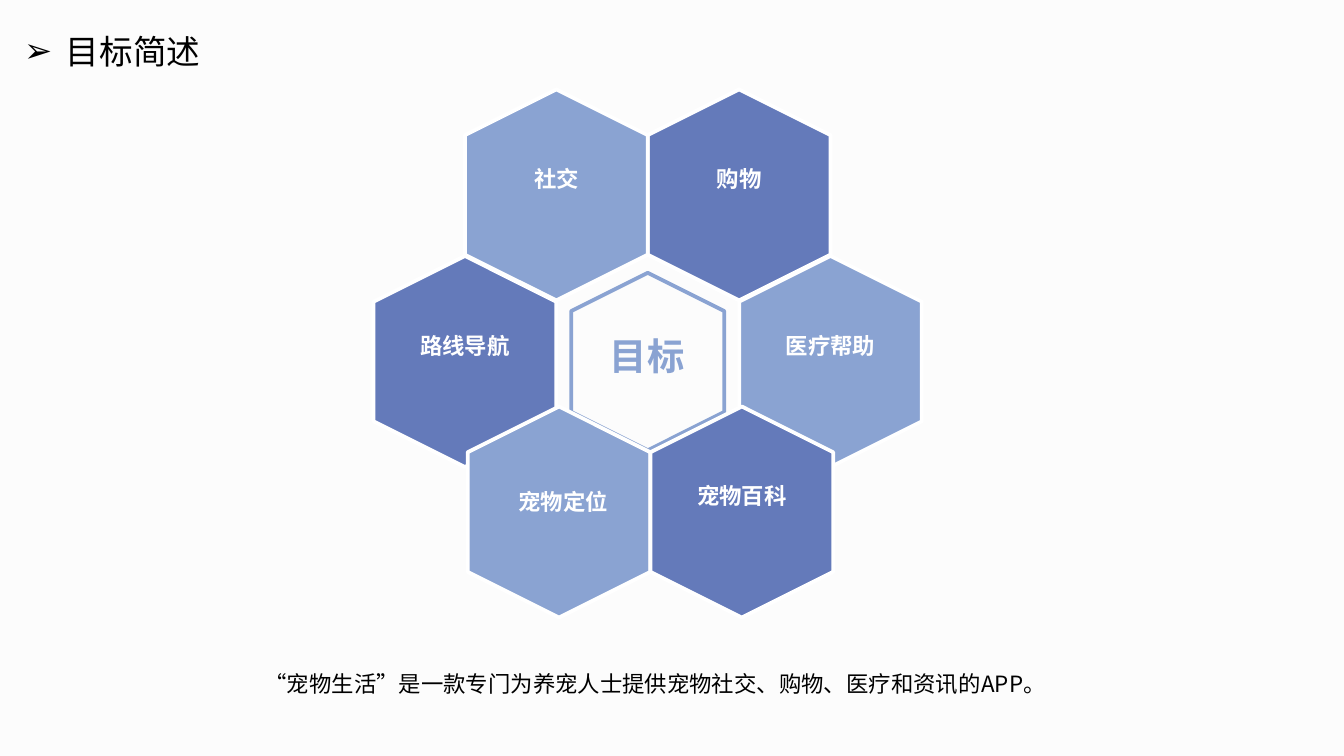
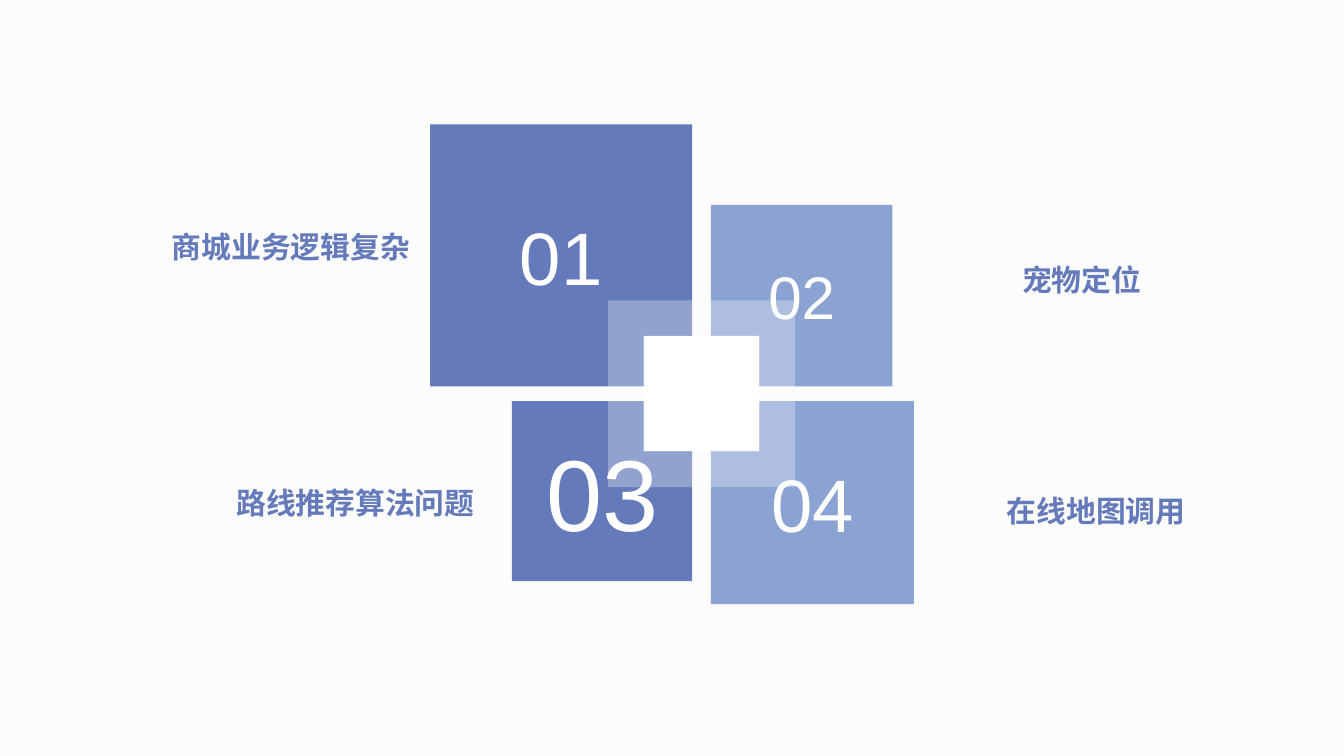
from typing import NamedTuple

from lxml import etree
from pptx import Presentation
from pptx.dml.color import RGBColor
from pptx.enum.shapes import MSO_SHAPE
from pptx.enum.text import MSO_ANCHOR, MSO_AUTO_SIZE, PP_ALIGN
from pptx.oxml.ns import qn
from pptx.util import Emu, Inches, Pt

HEXAGON, SQUARE, FRAME = MSO_SHAPE.HEXAGON, MSO_SHAPE.RECTANGLE, MSO_SHAPE.FRAME
LEFT, CENTER, RIGHT = PP_ALIGN.LEFT, PP_ALIGN.CENTER, PP_ALIGN.RIGHT
TOP, MIDDLE = MSO_ANCHOR.TOP, MSO_ANCHOR.MIDDLE
GROW = MSO_AUTO_SIZE.SHAPE_TO_FIT_TEXT

PAPER = RGBColor(0xFC, 0xFC, 0xFC)
WHITE = RGBColor(0xFF, 0xFF, 0xFF)
BLACK = RGBColor(0x00, 0x00, 0x00)
LIGHT_BLUE = RGBColor(0x8A, 0xA3, 0xD2)
DEEP_BLUE = RGBColor(0x64, 0x7A, 0xBA)

CJK = "Noto Sans CJK SC"
LATIN = "Arial"
TITLE_ONLY, BLANK = 5, 6
SLIDE_WIDTH = Inches(10)
SLIDE_HEIGHT = Emu(SLIDE_WIDTH * 9 // 16)

# Flower of hexagons: columns are half a hexagon wide, counted from the heart.
HEX_LENGTH, HEX_WIDTH = 1.57, 1.36
HEART_X, HEART_Y = 4.82, 2.69
COLUMN = HEX_WIDTH / 2

# Tiles meet at a cross of narrow gaps.
CROSS_X, CROSS_Y = 5.22, 2.93
GAP_X, GAP_Y = 0.14, 0.11


class Area(NamedTuple):
    left: float
    top: float
    width: float
    height: float

    def emu(self) -> list[Emu]:
        return [Inches(length) for length in self]


class Style(NamedTuple):
    size: float
    color: RGBColor
    bold: bool = False
    align: PP_ALIGN = CENTER
    font: str = CJK


class HexRow(NamedTuple):
    middle: float
    shift: float = 0


class Petal(NamedTuple):
    text: str
    column: int
    row: HexRow
    color: RGBColor
    nudge_x: float = 0
    nudge_y: float = 0
    has_plate: bool = False


class Tile(NamedTuple):
    number: str
    side: float
    size: float
    color: RGBColor
    is_right: bool
    is_lower: bool


class Label(NamedTuple):
    text: str
    left: float
    top: float


TITLE_STYLE = Style(18, BLACK, align=LEFT)
PETAL_STYLE = Style(12, WHITE, bold=True)
HEART_STYLE = Style(20, LIGHT_BLUE, bold=True)
SUMMARY_STYLE = Style(12, BLACK, align=LEFT)
LABEL_STYLE = Style(16, DEEP_BLUE, bold=True, align=RIGHT)

UPPER, CENTRAL, LOWER = HexRow(1.45), HexRow(HEART_Y), HexRow(3.81, 0.02)
BACK_PETALS = [
    Petal("医疗帮助", 2, CENTRAL, LIGHT_BLUE),
    Petal("购物", 1, UPPER, DEEP_BLUE),
    Petal("社交", -1, UPPER, LIGHT_BLUE, has_plate=True),
    Petal("路线导航", -2, CENTRAL, DEEP_BLUE),
]
FRONT_PETALS = [
    Petal("宠物定位", -1, LOWER, LIGHT_BLUE, 0.03, 0.04),
    Petal("宠物百科", 1, LOWER, DEEP_BLUE),
]
TILES = [
    Tile("01", 1.95, 39.8, DEEP_BLUE, False, False),
    Tile("04", 1.51, 39.8, LIGHT_BLUE, True, True),
    Tile("02", 1.35, 32.2, LIGHT_BLUE, True, False),
    Tile("03", 1.34, 54, DEEP_BLUE, False, True),
]
LABELS = [
    Label("商城业务逻辑复杂", 0.6, 1.65),
    Label("宠物定位", 6.04, 1.9),
    Label("路线推荐算法问题", 1.08, 3.56),
    Label("在线地图调用", 6.37, 3.62),
]


def centered(x: float, y: float, width: float, height: float) -> Area:
    return Area(x - width / 2, y - height / 2, width, height)


def write(shape, text: str, style: Style, anchor=TOP, wrap: bool = True) -> None:
    frame = shape.text_frame
    frame.text = text
    frame.word_wrap = wrap
    frame.vertical_anchor = anchor
    para = frame.paragraphs[0]
    para.alignment = style.align
    span = para.runs[0]
    span.font.size = Pt(style.size)
    span.font.bold = style.bold
    span.font.color.rgb = style.color
    span.font.name = style.font
    east_asian = etree.SubElement(span._r.get_or_add_rPr(), qn("a:ea"))
    east_asian.set("typeface", style.font)


def add_text(shapes, area: Area, text: str, style: Style, wrap: bool = True) -> None:
    box = shapes.add_textbox(*area.emu())
    write(box, text, style, wrap=wrap)
    box.text_frame.auto_size = GROW


def add_figure(shapes, kind, area: Area, fill=None, line=None):
    figure = shapes.add_shape(kind, *area.emu())
    figure.shadow.inherit = False
    if fill is None:
        figure.fill.background()
    else:
        figure.fill.solid()
        figure.fill.fore_color.rgb = fill
    if line is None:
        figure.line.fill.background()
    else:
        figure.line.color.rgb = line
        figure.line.width = Pt(2)
    return figure


def add_hexagon(shapes, x: float, y: float, length: float, width: float,
                fill, line) -> None:
    """Add a hexagon standing on its tip."""
    hexagon = add_figure(shapes, HEXAGON, centered(x, y, length, width), fill, line)
    hexagon.rotation = 270


def add_petal(page, petal: Petal) -> None:
    shapes = page.shapes.add_group_shape().shapes
    x = HEART_X + petal.column * COLUMN + petal.row.shift
    y = petal.row.middle
    add_hexagon(shapes, x, y, HEX_LENGTH, HEX_WIDTH, petal.color, WHITE)
    caption = centered(x + petal.nudge_x, y - 0.12 + petal.nudge_y, 1.15, 0.3)
    if petal.has_plate:
        plate = add_figure(shapes, SQUARE, caption, petal.color)
        write(plate, petal.text, PETAL_STYLE)
        plate.text_frame.auto_size = GROW
    else:
        add_text(shapes, caption, petal.text, PETAL_STYLE)


def add_title(page, text: str) -> None:
    title = page.shapes.title
    title.left, title.top, title.width, title.height = Area(0.08, 0.18, 1.53, 0.4).emu()
    write(title, text, TITLE_STYLE, wrap=False)
    title.text_frame.auto_size = GROW
    properties = title.text_frame.paragraphs[0]._p.get_or_add_pPr()
    properties.set("marL", str(Inches(0.31)))
    properties.set("indent", str(-Inches(0.31)))
    etree.SubElement(properties, qn("a:buFont")).set("typeface", LATIN)
    etree.SubElement(properties, qn("a:buChar")).set("char", "➢")


def add_tile(page, tile: Tile) -> None:
    left = CROSS_X + GAP_X / 2 if tile.is_right else CROSS_X - GAP_X / 2 - tile.side
    top = CROSS_Y + GAP_Y / 2 if tile.is_lower else CROSS_Y - GAP_Y / 2 - tile.side
    square = add_figure(page.shapes, SQUARE,
                        Area(left, top, tile.side, tile.side), tile.color)
    write(square, tile.number, Style(tile.size, WHITE, font=LATIN), MIDDLE)


def add_hub(page) -> None:
    """Add the white square and its translucent frame over the cross."""
    shapes = page.shapes.add_group_shape().shapes
    halo = add_figure(shapes, FRAME, centered(CROSS_X, CROSS_Y, 1.39, 1.39), WHITE)
    halo.adjustments[0] = 0.19
    color = halo._element.spPr.find(qn("a:solidFill")).find(qn("a:srgbClr"))
    etree.SubElement(color, qn("a:alpha")).set("val", "30000")
    add_figure(shapes, SQUARE, centered(CROSS_X, CROSS_Y, 0.86, 0.86), WHITE)


def build_goals(deck) -> None:
    page = deck.slides.add_slide(deck.slide_layouts[TITLE_ONLY])
    add_title(page, "目标简述")
    add_hexagon(page.shapes, HEART_X, HEART_Y, 1.32, 1.14, None, LIGHT_BLUE)
    for petal in BACK_PETALS:
        add_petal(page, petal)
    add_text(page.shapes, Area(4.36, 2.43, 0.91, 0.44), "目标", HEART_STYLE)
    add_text(page.shapes, Area(1.87, 4.94, 6.27, 0.3),
             "“宠物生活”是一款专门为养宠人士提供宠物社交、购物、医疗和资讯的APP。",
             SUMMARY_STYLE, wrap=False)
    for petal in FRONT_PETALS:
        add_petal(page, petal)


def build_challenges(deck) -> None:
    page = deck.slides.add_slide(deck.slide_layouts[BLANK])
    for tile in TILES:
        add_tile(page, tile)
    add_hub(page)
    for label in LABELS:
        add_text(page.shapes, Area(label.left, label.top, 2.55, 0.37),
                 label.text, LABEL_STYLE)


def main() -> None:
    deck = Presentation()
    deck.slide_width, deck.slide_height = SLIDE_WIDTH, SLIDE_HEIGHT
    background = deck.slide_master.background.fill
    background.solid()
    background.fore_color.rgb = PAPER
    build_goals(deck)
    build_challenges(deck)
    deck.save("out.pptx")


if __name__ == "__main__":
    main()
